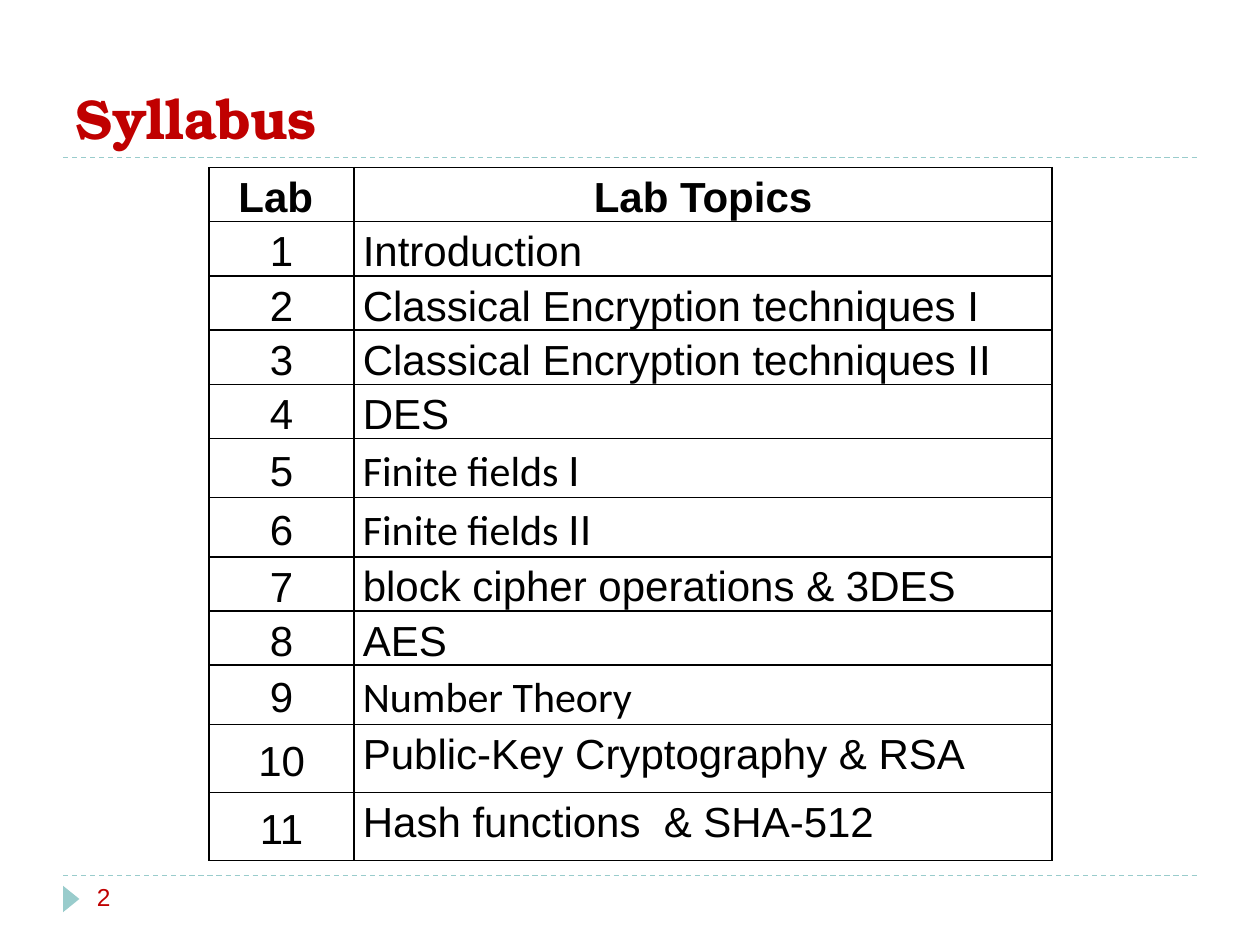
from typing import NamedTuple

from lxml.etree import SubElement
from pptx import Presentation
from pptx.dml.color import RGBColor
from pptx.enum.dml import MSO_LINE
from pptx.enum.shapes import MSO_CONNECTOR, MSO_SHAPE
from pptx.enum.text import MSO_ANCHOR, PP_ALIGN
from pptx.oxml import parse_xml
from pptx.oxml.ns import nsdecls, qn
from pptx.util import Inches, Pt

COLORS = {"accent": "99CCCC", "heading": "C00000", "text": "000000", "border": "000000"}
COLUMN_WIDTHS = (1.15, 5.54)
LINE_POINTS = {"Arial": 30.8, "Calibri": 33.7}
ARIAL_ROW, CALIBRI_ROW, TALL_ROW = 0.43, 0.47, 0.54


class Run(NamedTuple):
    text: str
    font: str = "Arial"


class Lab(NamedTuple):
    topic: tuple[Run, ...]
    height: float = ARIAL_ROW


LABS = (
    Lab((Run("Introduction"),)),
    Lab((Run("Classical Encryption techniques I"),)),
    Lab((Run("Classical Encryption techniques II"),)),
    Lab((Run("DES"),)),
    Lab((Run("Finite fields ", "Calibri"), Run("I")), CALIBRI_ROW),
    Lab((Run("Finite fields ", "Calibri"), Run("II")), CALIBRI_ROW),
    Lab((Run("block cipher operations & 3DES"),)),
    Lab((Run("AES"),)),
    Lab((Run("Number Theory", "Calibri"),), CALIBRI_ROW),
    Lab((Run("Public-Key Cryptography & RSA"),), TALL_ROW),
    Lab((Run("Hash functions  & SHA-512"),), TALL_ROW),
)


def color(name: str) -> RGBColor:
    return RGBColor.from_string(COLORS[name])


def format_font(font, name: str, size: float, color_name: str, bold: bool = False) -> None:
    font.name, font.size, font.bold = name, Pt(size), bold
    font.color.rgb = color(color_name)


def add_rule(slide, top: float) -> None:
    """Draw a dashed line across the slide."""
    rule = slide.shapes.add_connector(
        MSO_CONNECTOR.STRAIGHT, Inches(0.5), Inches(top), Inches(9.5), Inches(top))
    rule.line.color.rgb = color("accent")
    rule.line.width = Pt(0.75)
    rule.line.dash_style = MSO_LINE.DASH
    SubElement(rule._element.spPr, qn("a:effectLst"))


def add_title(slide) -> None:
    title = slide.shapes.title
    title.left, title.top = Inches(0.5), Inches(0.17)
    title.width, title.height = Inches(9), Inches(1.08)
    title.text_frame.text = "Syllabus"
    title.text_frame.vertical_anchor = MSO_ANCHOR.BOTTOM
    paragraph = title.text_frame.paragraphs[0]
    paragraph.alignment = PP_ALIGN.LEFT
    format_font(paragraph.runs[0].font, "TeX Gyre Bonum", 32, "heading", bold=True)


def add_page_marker(slide) -> None:
    """Draw the footer triangle and the page number."""
    marker = slide.shapes.add_shape(
        MSO_SHAPE.ISOSCELES_TRIANGLE, Inches(0.46), Inches(7.07), Inches(0.21), Inches(0.13))
    marker.rotation = 90
    marker.shadow.inherit = False
    marker.fill.solid()
    marker.fill.fore_color.rgb = color("accent")
    marker.line.fill.background()

    number = slide.shapes.add_textbox(Inches(0.67), Inches(6.95), Inches(2.17), Inches(0.4))
    number.text_frame.word_wrap = True
    number.text_frame.text = "2"
    format_font(number.text_frame.paragraphs[0].runs[0].font, "Arial", 14, "heading")


def add_borders(cell) -> None:
    properties = cell._tc.get_or_add_tcPr()
    for index, side in enumerate(("lnL", "lnR", "lnT", "lnB")):
        properties.insert(index, parse_xml(
            f'<a:{side} {nsdecls("a")} w="{Pt(1)}"><a:solidFill>'
            f'<a:srgbClr val="{COLORS["border"]}"/></a:solidFill></a:{side}>'))


def fill_cell(cell, runs: tuple[Run, ...], alignment: PP_ALIGN,
              anchor: MSO_ANCHOR = MSO_ANCHOR.TOP, bold: bool = False) -> None:
    cell.margin_left = cell.margin_right = Inches(0.07)
    cell.margin_top = cell.margin_bottom = 0
    cell.vertical_anchor = anchor
    cell.fill.background()
    add_borders(cell)
    paragraph = cell.text_frame.paragraphs[0]
    paragraph.alignment = alignment
    paragraph.line_spacing = Pt(max(LINE_POINTS[part.font] for part in runs))
    for part in runs:
        run = paragraph.add_run()
        run.text = part.text
        format_font(run.font, part.font, 24, "text", bold)


def add_lab_table(slide) -> None:
    heights = (ARIAL_ROW, *(lab.height for lab in LABS))
    table = slide.shapes.add_table(
        len(heights), len(COLUMN_WIDTHS), Inches(1.66), Inches(1.33),
        Inches(sum(COLUMN_WIDTHS)), Inches(sum(heights))).table
    table.first_row = table.horz_banding = False
    for column, width in zip(table.columns, COLUMN_WIDTHS):
        column.width = Inches(width)
    for row, height in zip(table.rows, heights):
        row.height = Inches(height)

    for column, heading in enumerate(("Lab ", "Lab Topics")):
        fill_cell(table.cell(0, column), (Run(heading),), PP_ALIGN.CENTER, bold=True)
    for number, lab in enumerate(LABS, start=1):
        fill_cell(table.cell(number, 0), (Run(str(number)),), PP_ALIGN.CENTER, MSO_ANCHOR.MIDDLE)
        fill_cell(table.cell(number, 1), lab.topic, PP_ALIGN.LEFT)


def main() -> None:
    presentation = Presentation()
    presentation.slide_width, presentation.slide_height = Inches(10), Inches(7.5)
    slide = presentation.slides.add_slide(presentation.slide_layouts[5])
    for top in (6.95, 1.25):
        add_rule(slide, top)
    add_title(slide)
    add_page_marker(slide)
    add_lab_table(slide)
    presentation.save("out.pptx")


if __name__ == "__main__":
    main()
